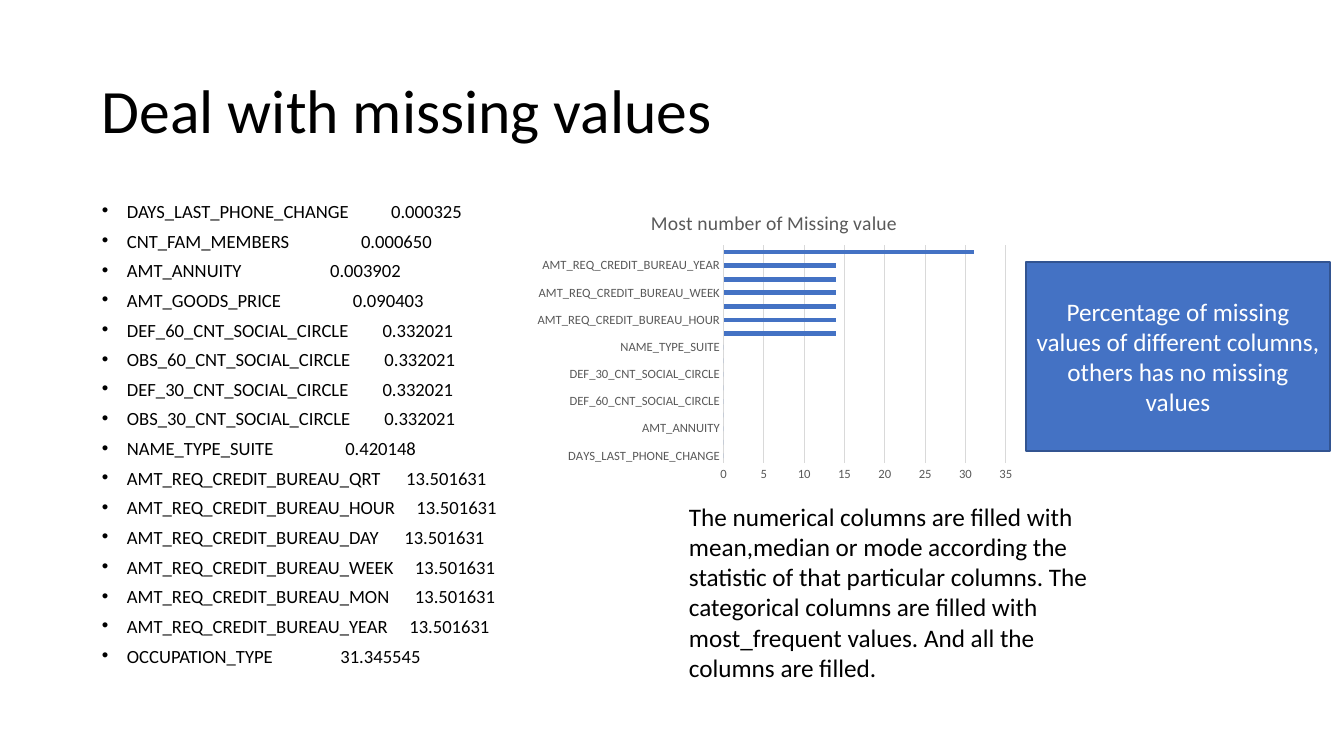
from lxml.etree import SubElement
from pptx import Presentation
from pptx.chart.data import CategoryChartData
from pptx.dml.color import RGBColor
from pptx.enum.chart import XL_CHART_TYPE, XL_TICK_MARK
from pptx.enum.shapes import MSO_SHAPE
from pptx.enum.text import MSO_ANCHOR, PP_ALIGN
from pptx.oxml import parse_xml
from pptx.oxml.ns import nsdecls, qn
from pptx.util import Emu, Pt

EMU_PER_PX = 914400 / 100.8
FONT = "Calibri"
BLACK, WHITE, GREY, GRID = "000000", "FFFFFF", "595959", "D9D9D9"
BLUE, DARK_BLUE = "4472C4", "325491"

LIST_SIZE = 13.3
ROW_CHARS = 40        # name, gap and value together fill this many characters
SPACE_WIDTH = 0.226   # width of a space as a share of the font size

MISSING = [
    ("DAYS_LAST_PHONE_CHANGE", 0.000325),
    ("CNT_FAM_MEMBERS", 0.000650),
    ("AMT_ANNUITY", 0.003902),
    ("AMT_GOODS_PRICE", 0.090403),
    ("DEF_60_CNT_SOCIAL_CIRCLE", 0.332021),
    ("OBS_60_CNT_SOCIAL_CIRCLE", 0.332021),
    ("DEF_30_CNT_SOCIAL_CIRCLE", 0.332021),
    ("OBS_30_CNT_SOCIAL_CIRCLE", 0.332021),
    ("NAME_TYPE_SUITE", 0.420148),
    ("AMT_REQ_CREDIT_BUREAU_QRT", 13.501631),
    ("AMT_REQ_CREDIT_BUREAU_HOUR", 13.501631),
    ("AMT_REQ_CREDIT_BUREAU_DAY", 13.501631),
    ("AMT_REQ_CREDIT_BUREAU_WEEK", 13.501631),
    ("AMT_REQ_CREDIT_BUREAU_MON", 13.501631),
    ("AMT_REQ_CREDIT_BUREAU_YEAR", 13.501631),
    ("OCCUPATION_TYPE", 31.345545),
]


def px(length):
    return Emu(round(length * EMU_PER_PX))


def box(*lengths):
    return [px(length) for length in lengths]


def color(hex_code):
    return RGBColor.from_string(hex_code)


def style_font(font, size, hex_code):
    font.name = FONT
    font.size = Pt(size)
    font.bold = False
    font.color.rgb = color(hex_code)


def fill_text(shape, text, size, hex_code, anchor=MSO_ANCHOR.TOP):
    """Put one paragraph into a shape and return it."""
    frame = shape.text_frame
    frame.word_wrap = True
    frame.vertical_anchor = anchor
    frame.text = text
    paragraph = frame.paragraphs[0]
    style_font(paragraph.runs[0].font, size, hex_code)
    return paragraph


def add_text(slide, area, text, size, anchor=MSO_ANCHOR.TOP):
    return fill_text(slide.shapes.add_textbox(*box(*area)), text, size, BLACK, anchor)


def add_callout(slide, area, text):
    callout = slide.shapes.add_shape(MSO_SHAPE.RECTANGLE, *box(*area))
    callout.shadow.inherit = False
    callout.fill.solid()
    callout.fill.fore_color.rgb = color(BLUE)
    callout.line.color.rgb = color(DARK_BLUE)
    callout.line.width = Pt(1)
    fill_text(callout, text, 18, WHITE, MSO_ANCHOR.MIDDLE).alignment = PP_ALIGN.CENTER


def add_bullet(paragraph):
    properties = paragraph._p.get_or_add_pPr()
    properties.set("marL", str(px(25)))
    properties.set("indent", str(-px(25)))
    SubElement(properties, qn("a:buFont"), typeface="Arial")
    SubElement(properties, qn("a:buChar"), char="•")


def add_missing_list(slide, area):
    frame = slide.shapes.add_textbox(*box(*area)).text_frame
    frame.word_wrap = True
    for index, (column, share) in enumerate(MISSING):
        paragraph = frame.paragraphs[0] if index == 0 else frame.add_paragraph()
        paragraph.line_spacing = 0.7
        paragraph.space_before = Pt(10)
        add_bullet(paragraph)
        value = f"{share:.6f}"
        for part in (column, " ", value):
            run = paragraph.add_run()
            run.text = part
            style_font(run.font, LIST_SIZE, BLACK)
        # A single space, widened by character spacing, separates name and value
        extra_spaces = ROW_CHARS - len(column) - len(value) - 1
        spacing = extra_spaces * SPACE_WIDTH * LIST_SIZE
        paragraph.runs[1].font._element.set("spc", str(round(spacing * 100)))


def style_axis(axis):
    axis.major_tick_mark = XL_TICK_MARK.NONE
    axis.minor_tick_mark = XL_TICK_MARK.NONE
    style_font(axis.tick_labels.font, 9, GREY)


def style_line(line):
    line.color.rgb = color(GRID)
    line.width = Pt(0.75)


def set_plot_layout(chart, x, y, w, h):
    plot_area = chart._chartSpace.chart.plotArea
    for old_layout in plot_area.findall(qn("c:layout")):
        plot_area.remove(old_layout)
    sizes = "".join(f'<c:{key} val="{share}"/>'
                    for key, share in zip("xywh", (x, y, w, h)))
    plot_area.insert(0, parse_xml(
        f'<c:layout {nsdecls("c")}><c:manualLayout><c:layoutTarget val="inner"/>'
        f'<c:xMode val="edge"/><c:yMode val="edge"/>{sizes}'
        "</c:manualLayout></c:layout>"))


def add_missing_chart(slide, area, title):
    data = CategoryChartData()
    data.categories = [column for column, _ in MISSING]
    data.add_series("Series 1", [round(share) for _, share in MISSING])
    chart = slide.shapes.add_chart(
        XL_CHART_TYPE.BAR_CLUSTERED, *box(*area), data).chart
    style_font(chart.font, 10, BLACK)
    chart.has_legend = False

    # Title
    chart.has_title = True
    chart.chart_title.include_in_layout = False
    heading = chart.chart_title.text_frame
    heading.text = title
    style_font(heading.paragraphs[0].runs[0].font, 14, GREY)

    # Bars
    plot = chart.plots[0]
    plot.gap_width = 182
    plot.vary_by_categories = False
    bars = plot.series[0].format.fill
    bars.solid()
    bars.fore_color.rgb = color(BLUE)

    # Axes
    columns, shares = chart.category_axis, chart.value_axis
    style_axis(columns)
    style_axis(shares)
    style_line(columns.format.line)
    shares.format.line.fill.background()
    shares.minimum_scale, shares.maximum_scale, shares.major_unit = 0, 35, 5
    shares.tick_labels.number_format = "General"
    shares.tick_labels.number_format_is_linked = False
    shares.has_major_gridlines = True
    style_line(shares.major_gridlines.format.line)
    set_plot_layout(chart, 0.4, 0.17, 0.56, 0.72)


def main():
    deck = Presentation()
    deck.slide_width, deck.slide_height = px(1344), px(756)
    slide = deck.slides.add_slide(deck.slide_layouts[6])

    # Heading and list of columns
    heading = add_text(slide, (92, 41, 1159, 146), "Deal with missing values",
                       44, MSO_ANCHOR.MIDDLE)
    heading.line_spacing = 0.9
    add_missing_list(slide, (92, 201, 1159, 480))

    # Explanations
    add_callout(slide, (1026, 262, 304, 189),
                "Percentage of missing values of different columns, "
                "others has no missing values")
    add_text(slide, (679, 496, 438, 194),
             "The numerical columns are filled with mean,median or mode according "
             "the statistic of that particular columns. The categorical columns are "
             "filled with most_frequent values. And all the columns are filled.", 18)

    # Chart of missing shares
    add_missing_chart(slide, (522, 194, 504, 302), "Most number of Missing value")
    deck.save("out.pptx")


if __name__ == "__main__":
    main()
